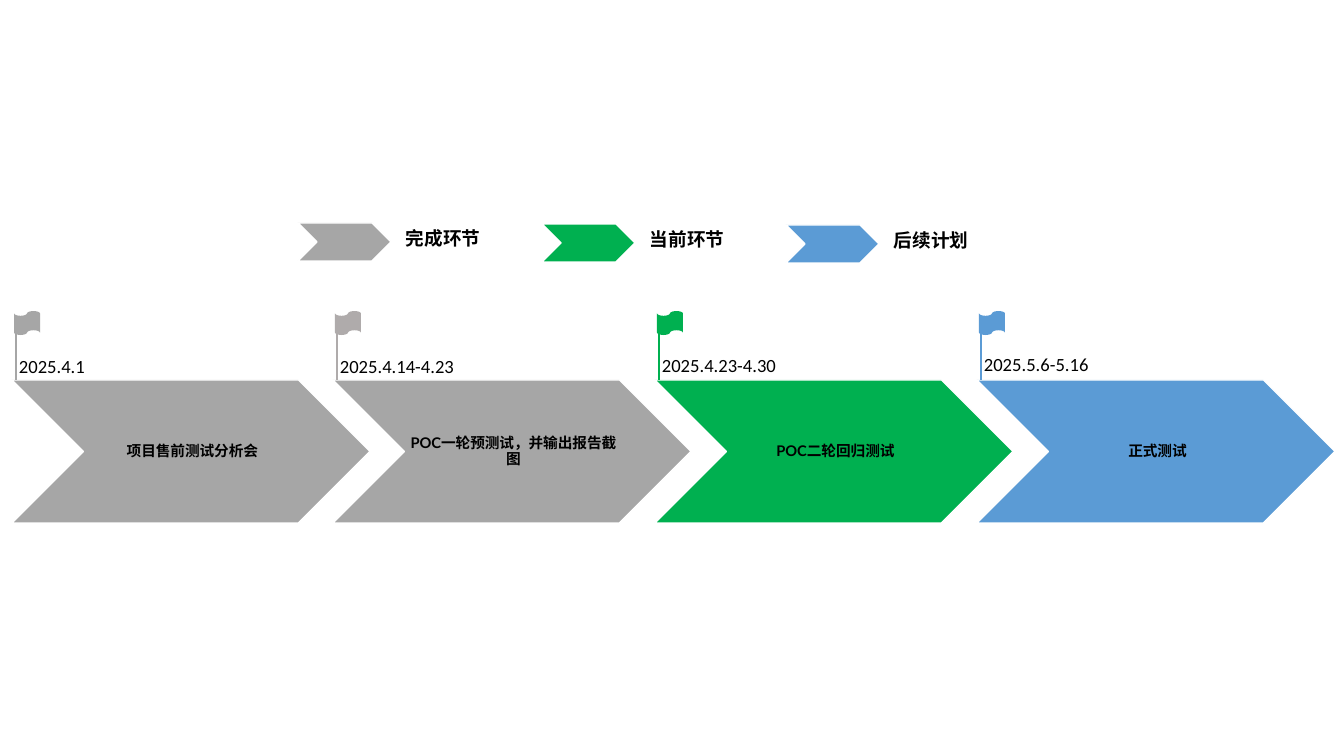
from dataclasses import dataclass

from lxml import etree
from pptx import Presentation
from pptx.dml.color import RGBColor
from pptx.enum.shapes import MSO_CONNECTOR, MSO_SHAPE
from pptx.enum.text import MSO_ANCHOR, PP_ALIGN
from pptx.oxml.ns import qn
from pptx.shapes.autoshape import Shape
from pptx.slide import Slide
from pptx.text.text import TextFrame
from pptx.util import Emu, Pt

CHEVRON = MSO_SHAPE.CHEVRON
FLAG = MSO_SHAPE.FLOWCHART_PUNCHED_TAPE
STRAIGHT = MSO_CONNECTOR.STRAIGHT
MIDDLE = MSO_ANCHOR.MIDDLE
TOP = MSO_ANCHOR.TOP
CENTER = PP_ALIGN.CENTER
LEFT = PP_ALIGN.LEFT

EMU_PER_PX = 914400 / 100.8
SLIDE_WIDTH, SLIDE_HEIGHT = 1344, 756

GRAY, FLAG_GRAY, GREEN, BLUE = "A6A6A6", "AFABAB", "00B050", "5B9BD5"
BLACK, WHITE = "000000", "FFFFFF"
CJK_FONT = "Noto Sans CJK SC"

FIRST_STAGE_LEFT, LAST_STAGE_LEFT = 12, 977
STAGE_TOP, STAGE_WIDTH, STAGE_HEIGHT = 380, 358, 143
NOTCH = STAGE_HEIGHT // 2
FLAG_TOP, POLE_TOP = 311, 333
LEGEND_LEFT, LEGEND_PITCH = 298, 244


@dataclass(frozen=True)
class Stage:
    title: str
    date: str
    color: str
    flag_color: str
    date_top: int


@dataclass(frozen=True)
class LegendItem:
    label: str
    color: str
    top: int


STAGES = [
    Stage("项目售前测试分析会", "2025.4.1", GRAY, GRAY, 350),
    Stage("POC一轮预测试，并输出报告截图", "2025.4.14-4.23", GRAY, FLAG_GRAY, 350),
    Stage("POC二轮回归测试", "2025.4.23-4.30", GREEN, GREEN, 349),
    Stage("正式测试", "2025.5.6-5.16", BLUE, BLUE, 348),
]

LEGEND = [
    LegendItem("完成环节", GRAY, 223),
    LegendItem("当前环节", GREEN, 224),
    LegendItem("后续计划", BLUE, 225),
]


def px(length: int) -> Emu:
    return Emu(round(length * EMU_PER_PX))


def rgb(color: str) -> RGBColor:
    return RGBColor.from_string(color)


def add_filled(slide: Slide, kind: MSO_SHAPE, left: int, top: int,
               width: int, height: int, color: str) -> Shape:
    shape = slide.shapes.add_shape(kind, px(left), px(top), px(width), px(height))
    shape.shadow.inherit = False
    shape.fill.solid()
    shape.fill.fore_color.rgb = rgb(color)
    shape.line.fill.background()
    return shape


def add_chevron(slide: Slide, left: int, top: int,
                width: int, height: int, color: str) -> None:
    chevron = add_filled(slide, CHEVRON, left, top, width, height, color)
    chevron.line.color.rgb = rgb(WHITE)
    chevron.line.width = Pt(1)


def add_text(slide: Slide, text: str, left: int, top: int, width: int, height: int,
             font_name: str, size: float, bold: bool = False, wrap: bool = True,
             align: PP_ALIGN = LEFT, anchor: MSO_ANCHOR = TOP) -> TextFrame:
    box = slide.shapes.add_textbox(px(left), px(top), px(width), px(height))
    frame = box.text_frame
    frame.word_wrap = wrap
    frame.vertical_anchor = anchor
    paragraph = frame.paragraphs[0]
    paragraph.text = text
    paragraph.alignment = align
    font = paragraph.font
    font.name, font.size, font.bold = font_name, Pt(size), bold
    font.color.rgb = rgb(BLACK)
    # East Asian typeface follows the Latin one
    latin = paragraph._p.pPr.find(qn("a:defRPr")).find(qn("a:latin"))
    east_asian = etree.Element(qn("a:ea"), typeface=CJK_FONT)
    latin.addnext(east_asian)
    return frame


def add_pole(slide: Slide, x: int, color: str) -> None:
    pole = slide.shapes.add_connector(STRAIGHT, px(x), px(POLE_TOP), px(x), px(STAGE_TOP))
    pole.line.color.rgb = rgb(color)
    pole.line.width = Pt(1.5)
    etree.SubElement(pole._element.spPr, qn("a:effectLst"))


def add_stage(slide: Slide, stage: Stage, left: int) -> None:
    add_chevron(slide, left, STAGE_TOP, STAGE_WIDTH, STAGE_HEIGHT, stage.color)
    title = add_text(slide, stage.title, left + NOTCH, STAGE_TOP,
                     STAGE_WIDTH - 2 * NOTCH, STAGE_HEIGHT, "Lato", 10.5,
                     bold=True, align=CENTER, anchor=MIDDLE)
    title.margin_left = px(5)
    title.margin_right = title.margin_top = title.margin_bottom = px(2)
    title.paragraphs[0].line_spacing = 0.9

    # Flag and date above the chevron
    add_filled(slide, FLAG, left + 2, FLAG_TOP, 26, 24, stage.flag_color)
    add_pole(slide, left + 4, stage.flag_color)
    add_text(slide, stage.date, left - 3, stage.date_top, 141, 33, "Calibri", 13.3)


def add_legend_item(slide: Slide, item: LegendItem, left: int) -> None:
    add_chevron(slide, left, item.top, 93, 38, item.color)
    add_text(slide, item.label, left + 98, item.top - 1, 96, 33,
             CJK_FONT, 13.3, bold=True, wrap=False)


def main() -> None:
    presentation = Presentation()
    presentation.slide_width = px(SLIDE_WIDTH)
    presentation.slide_height = px(SLIDE_HEIGHT)
    slide = presentation.slides.add_slide(presentation.slide_layouts[6])

    # Timeline, spread evenly between the first and last stage
    span = LAST_STAGE_LEFT - FIRST_STAGE_LEFT
    for index, stage in enumerate(STAGES):
        add_stage(slide, stage, FIRST_STAGE_LEFT + span * index // (len(STAGES) - 1))

    # Legend
    for index, item in enumerate(LEGEND):
        add_legend_item(slide, item, LEGEND_LEFT + index * LEGEND_PITCH)

    presentation.save("out.pptx")


if __name__ == "__main__":
    main()
